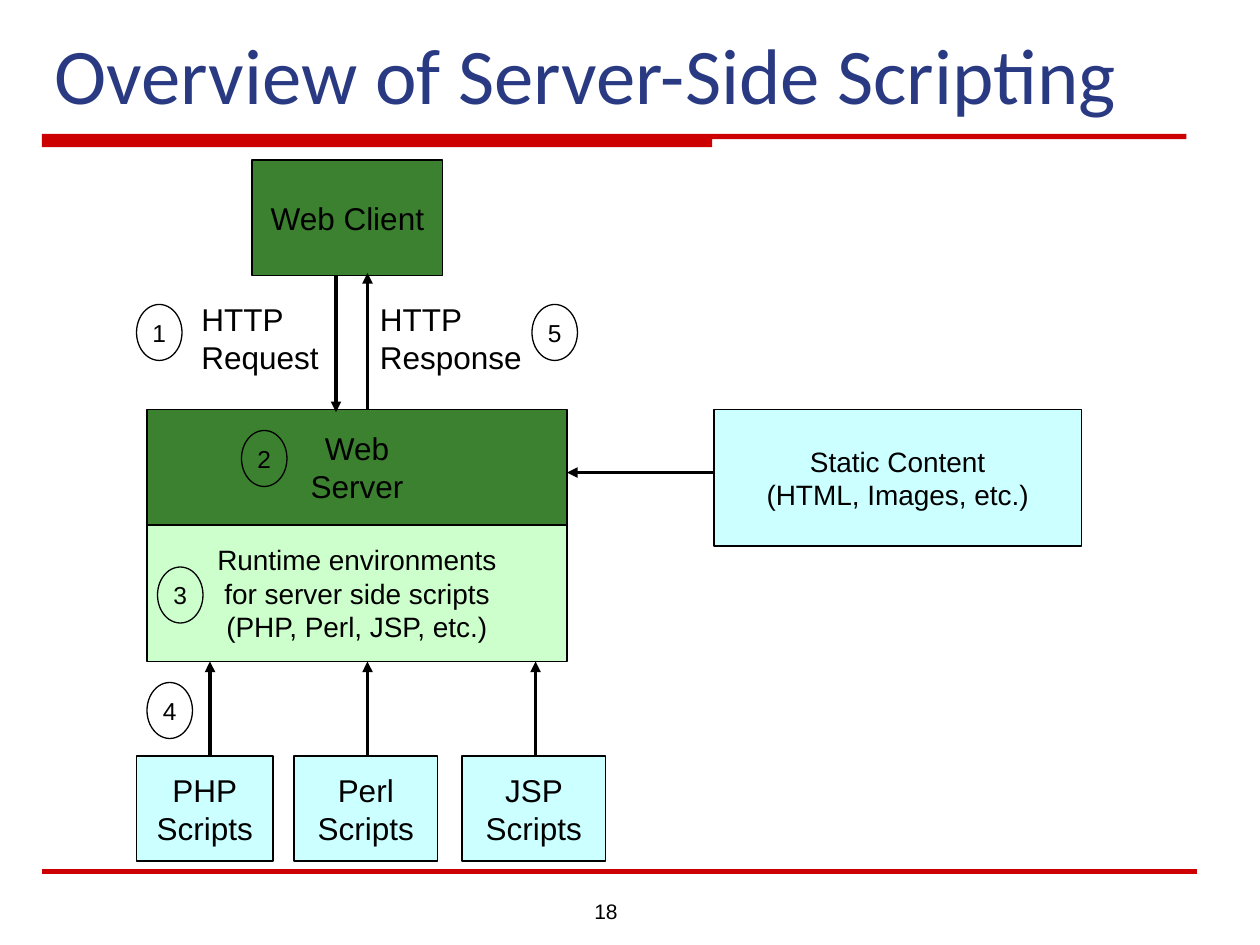
from lxml import etree
from pptx import Presentation
from pptx.dml.color import RGBColor
from pptx.enum.shapes import MSO_CONNECTOR, MSO_SHAPE
from pptx.enum.text import MSO_ANCHOR, PP_ALIGN
from pptx.oxml.ns import qn
from pptx.util import Pt

STRAIGHT = MSO_CONNECTOR.STRAIGHT
RECTANGLE, OVAL = MSO_SHAPE.RECTANGLE, MSO_SHAPE.OVAL
TOP, MIDDLE, BOTTOM = MSO_ANCHOR.TOP, MSO_ANCHOR.MIDDLE, MSO_ANCHOR.BOTTOM
LEFT, CENTER, RIGHT = PP_ALIGN.LEFT, PP_ALIGN.CENTER, PP_ALIGN.RIGHT

COLORS = {
    "black": "000000",
    "title": "293A83",
    "rule": "CC0000",
    "server": "3B812F",
    "runtime": "CCFFCC",
    "content": "CCFFFF",
}
COLORS = {name: RGBColor.from_string(value) for name, value in COLORS.items()}

presentation = Presentation()
presentation.slide_width, presentation.slide_height = Pt(720), Pt(540)
slide = presentation.slides.add_slide(presentation.slide_layouts[6])
shapes = slide.shapes


def add_line(x1, y1, x2, y2, color="black", width=2, arrow=True):
    line = shapes.add_connector(STRAIGHT, Pt(x1), Pt(y1), Pt(x2), Pt(y2))
    line.line.color.rgb = COLORS[color]
    line.line.width = Pt(width)
    if arrow:
        etree.SubElement(line.line._get_or_add_ln(), qn("a:tailEnd"), type="triangle")
    etree.SubElement(line._element.spPr, qn("a:effectLst"))


def add_text(box, lines, size, preset=None, fill=None, align=CENTER, anchor=MIDDLE,
             font="Arial", color="black", wrap=True):
    """Add a text box, or an outlined preset shape, with one paragraph per line."""
    left, top, width, height = map(Pt, box)
    if preset is None:
        shape = shapes.add_textbox(left, top, width, height)
    else:
        shape = shapes.add_shape(preset, left, top, width, height)
        shape.shadow.inherit = False
        shape.line.color.rgb = COLORS["black"]
        shape.line.width = Pt(0.75)
        if fill:
            shape.fill.solid()
            shape.fill.fore_color.rgb = COLORS[fill]
        else:
            shape.fill.background()
    frame = shape.text_frame
    frame.word_wrap = wrap
    frame.vertical_anchor = anchor
    for index, text in enumerate(lines):
        paragraph = frame.add_paragraph() if index else frame.paragraphs[0]
        paragraph.alignment = align
        run = paragraph.add_run()
        run.text = text
        run.font.name = font
        run.font.size = Pt(size)
        run.font.color.rgb = COLORS[color]


# Title, stepped rule below it and footer rule
builder = shapes.build_freeform(Pt(24), Pt(76.5))
builder.add_line_segments(
    [(Pt(x), Pt(y)) for x, y in
     [(678, 76.5), (678, 79.5), (407, 79.5), (407, 84), (24, 84)]], close=True)
title_rule = builder.convert_to_shape()
title_rule.shadow.inherit = False
title_rule.fill.solid()
title_rule.fill.fore_color.rgb = COLORS["rule"]
title_rule.line.fill.background()
add_line(24, 498, 684, 498, color="rule", width=3, arrow=False)
add_text((24, 12, 666, 60), ["Overview of Server-Side Scripting"], 45,
         align=LEFT, anchor=BOTTOM, font="Calibri", color="title")

# Script arrows start behind their boxes
for x in (120, 210, 306):
    add_line(x, 444, x, 378)

# Boxes
for box, lines, size, fill in [
    ((144, 91.5, 109, 66), ["Web Client"], 18, "server"),
    ((84, 234, 240, 66), ["Web", "Server"], 18, "server"),
    ((84, 300, 240, 78),
     ["Runtime environments", "for server side scripts", "(PHP, Perl, JSP, etc.)"],
     16, "runtime"),
    ((408, 234, 210, 78), ["Static Content", "(HTML, Images, etc.)"], 16, "content"),
    ((78, 432, 78, 60), ["PHP", "Scripts"], 18, "content"),
    ((168, 432, 82, 60), ["Perl Scripts"], 18, "content"),
    ((264, 432, 82, 60), ["JSP Scripts"], 18, "content"),
]:
    add_text(box, lines, size, RECTANGLE, fill)

# Request, response and static content
add_line(192, 157, 192, 235.5)
add_line(210, 234, 210, 156)
add_line(408, 270, 324, 270)
add_text((108, 168, 81.5, 50.5), ["HTTP", "Request"], 18,
         align=LEFT, anchor=TOP, wrap=False)
add_text((210, 168, 99, 50.5), ["HTTP Response"], 18, align=LEFT, anchor=TOP)

# Step numbers
steps = [(78, 174), (138, 246), (90, 324), (84, 390), (304, 174)]
for number, (x, y) in enumerate(steps, start=1):
    add_text((x, y, 26, 32), [str(number)], 14, OVAL, wrap=False)

# Page number
add_text((312, 510, 48, 19.5), ["18"], 12, align=RIGHT, anchor=TOP)

presentation.save("out.pptx")
